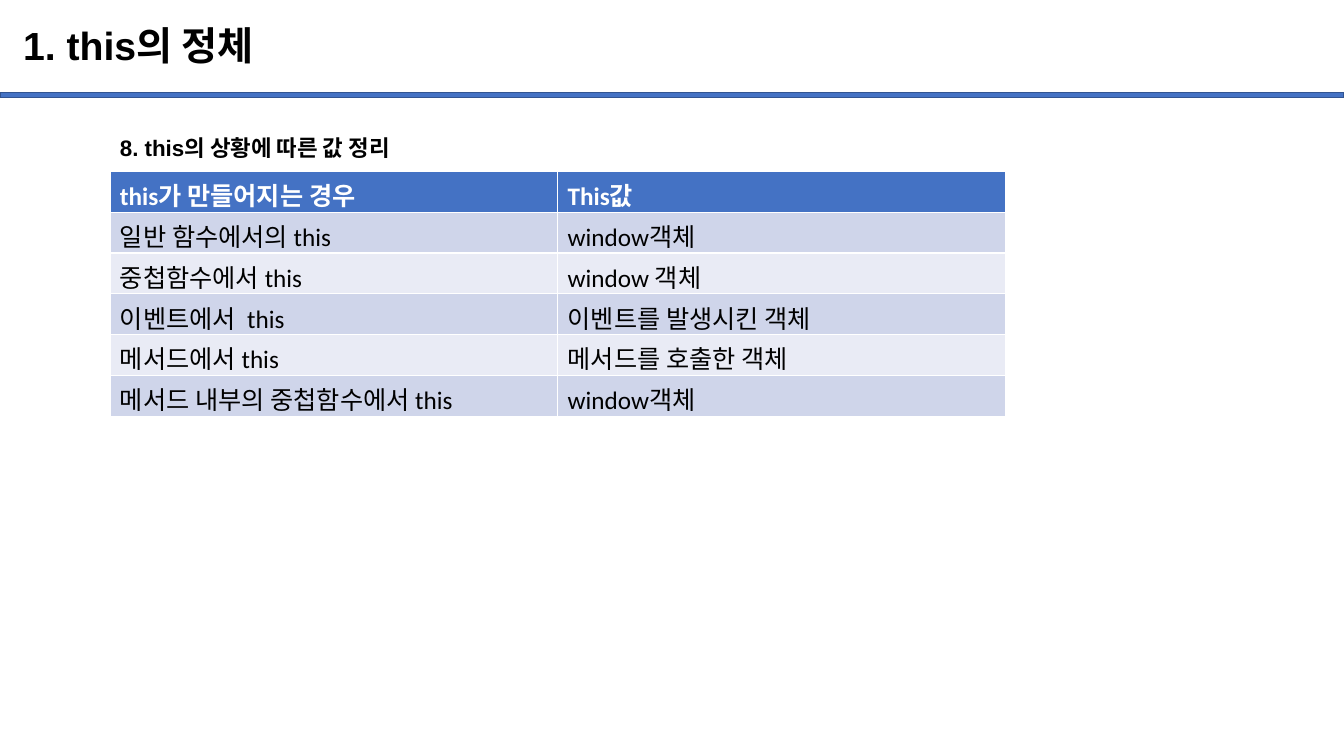
from dataclasses import dataclass

from pptx import Presentation
from pptx.dml.color import RGBColor
from pptx.enum import shapes, text
from pptx.util import Inches, Pt

TITLE = "1. this의 정체"
SUBTITLE = "8. this의 상황에 따른 값 정리"
THIS_VALUES = [
    ("this가 만들어지는 경우", "This값"),
    ("일반 함수에서의 this", "window객체"),
    ("중첩함수에서 this", "window 객체"),
    ("이벤트에서  this", "이벤트를 발생시킨 객체"),
    ("메서드에서 this", "메서드를 호출한 객체"),
    ("메서드 내부의 중첩함수에서 this", "window객체"),
]


@dataclass(frozen=True)
class Theme:
    heading_font: str = "Arial"
    table_font: str = "Calibri"
    title_size: int = 28
    subtitle_size: int = 16
    table_size: int = 18
    black: str = "000000"
    white: str = "FFFFFF"
    blue: str = "4472C4"
    bar_line: str = "325491"
    bands: tuple = ("E9EBF5", "CFD5EA")


THEME = Theme()


def rgb(color):
    return RGBColor.from_string(color)


def box(left, top, width, height):
    return [Inches(v) for v in (left, top, width, height)]


def add_run(p, content, font, size, color, bold):
    r = p.add_run()
    r.text = content
    r.font.name = font
    r.font.size = Pt(size)
    r.font.bold = bold
    r.font.color.rgb = rgb(color)


def add_bar(s):
    bar = s.shapes.add_shape(shapes.MSO_SHAPE.RECTANGLE, *box(0, 0.92, 13.33, 0.05))
    bar.shadow.inherit = False
    bar.fill.solid()
    bar.fill.fore_color.rgb = rgb(THEME.blue)
    bar.line.color.rgb = rgb(THEME.bar_line)
    bar.line.width = Pt(1)


def add_title(s):
    title = s.shapes.title
    title.left, title.top, title.width, title.height = box(0.13, 0.1, 11.5, 0.74)
    tf = title.text_frame
    tf.vertical_anchor = text.MSO_ANCHOR.MIDDLE
    p = tf.paragraphs[0]
    p.alignment = text.PP_ALIGN.LEFT
    p.line_spacing = 0.9
    add_run(p, TITLE, THEME.heading_font, THEME.title_size, THEME.black, True)


def add_subtitle(s):
    tf = s.shapes.add_textbox(*box(1.09, 1.15, 11.72, 0.86)).text_frame
    tf.word_wrap = True
    p = tf.paragraphs[0]
    p.line_spacing = 1.5
    add_run(p, SUBTITLE, THEME.heading_font, THEME.subtitle_size, THEME.black, True)


def add_value_table(s):
    rows, cols = len(THIS_VALUES), len(THIS_VALUES[0])
    frame = s.shapes.add_table(rows, cols, *box(1.09, 1.7, 8.88, 2.43))
    for i, values in enumerate(THIS_VALUES):
        header = i == 0
        fill = THEME.blue if header else THEME.bands[i % 2]
        color = THEME.white if header else THEME.black
        for j, value in enumerate(values):
            cell = frame.table.cell(i, j)
            cell.fill.solid()
            cell.fill.fore_color.rgb = rgb(fill)
            add_run(cell.text_frame.paragraphs[0], value,
                    THEME.table_font, THEME.table_size, color, header)


def main():
    prs = Presentation()
    prs.slide_width, prs.slide_height = Inches(13.33), Inches(7.5)
    s = prs.slides.add_slide(prs.slide_layouts.get_by_name("Title Only"))
    add_bar(s)
    add_title(s)
    add_subtitle(s)
    add_value_table(s)
    prs.save("out.pptx")


if __name__ == "__main__":
    main()
